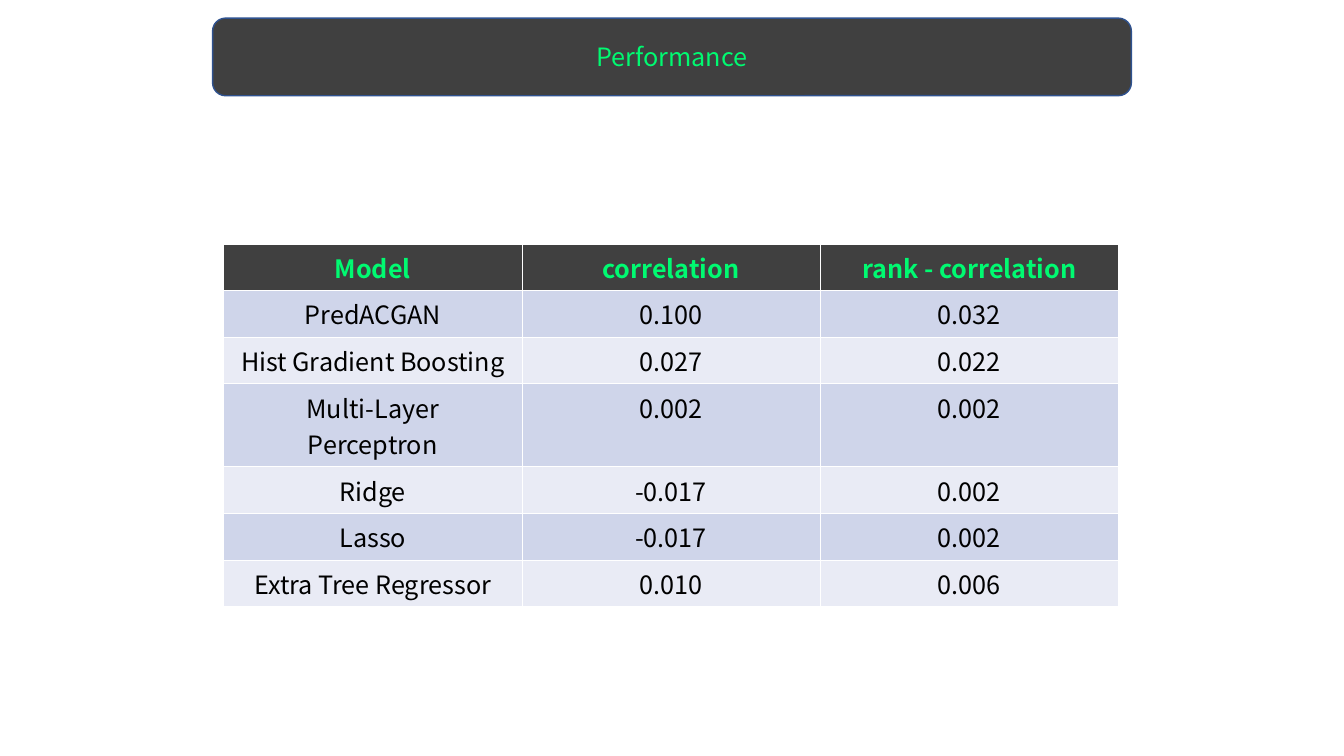
"""Build the model performance slide with its title bar and results table."""
from dataclasses import dataclass

from lxml.etree import SubElement
from pptx import Presentation
from pptx.dml.color import RGBColor as Color
from pptx.enum.shapes import MSO_SHAPE as Shape
from pptx.enum.text import MSO_ANCHOR as Anchor, PP_ALIGN as Align
from pptx.oxml.ns import qn
from pptx.util import Inches, Pt

TITLE = "Performance"
HEADER = ("Model", "correlation", "rank - correlation")
RESULTS = [
    ("PredACGAN", "0.100", "0.032"),
    ("Hist Gradient Boosting", "0.027", "0.022"),
    ("Multi-Layer\nPerceptron", "0.002", "0.002"),
    ("Ridge", "-0.017", "0.002"),
    ("Lasso", "-0.017", "0.002"),
    ("Extra Tree Regressor", "0.010", "0.006"),
]


@dataclass(frozen=True)
class Theme:
    font: str = "Noto Sans CJK KR"
    size: int = 18
    dark: str = "404040"
    accent: str = "00FA71"
    outline: str = "2F528F"
    body: str = "000000"
    bands: tuple = ("CFD5EA", "E9EBF5")
    border: str = "FFFFFF"
    thin: float = 0.45
    thick: float = 1.47


THEME = Theme()
TITLE_BOX = (2.11, 0.18, 9.12, 0.77)
TABLE_LEFT, TABLE_TOP, COLUMN_WIDTH = 2.22, 2.42, 2.96
LINE_HEIGHT, ROW_PADDING = 0.3, 0.1


def write_text(frame, text, color=THEME.body, bold=False):
    frame.text = text
    frame.word_wrap = True
    for paragraph in frame.paragraphs:
        paragraph.alignment = Align.CENTER
        font = paragraph.runs[0].font
        font.name, font.size, font.bold = THEME.font, Pt(THEME.size), bold
        font.color.rgb = Color.from_string(color)


def paint(target, color):
    target.fill.solid()
    target.fill.fore_color.rgb = Color.from_string(color)


def add_borders(cell, top, bottom):
    properties = cell._tc.get_or_add_tcPr()
    widths = {"a:lnL": THEME.thin, "a:lnR": THEME.thin, "a:lnT": top, "a:lnB": bottom}
    for position, (tag, width) in enumerate(widths.items()):
        line = SubElement(properties, qn(tag), w=str(Pt(width)))
        fill = SubElement(line, qn("a:solidFill"))
        SubElement(fill, qn("a:srgbClr"), val=THEME.border)
        properties.insert(position, line)


def add_title(slide):
    bar = slide.shapes.add_shape(Shape.ROUNDED_RECTANGLE, *map(Inches, TITLE_BOX))
    bar.shadow.inherit = False
    paint(bar, THEME.dark)
    bar.line.color.rgb = Color.from_string(THEME.outline)
    bar.line.width = Pt(1)
    bar.text_frame.vertical_anchor = Anchor.MIDDLE
    write_text(bar.text_frame, TITLE, color=THEME.accent)


def add_results(slide):
    rows = [HEADER, *RESULTS]
    heights = [
        ROW_PADDING + LINE_HEIGHT * max(len(text.splitlines()) for text in row)
        for row in rows
    ]
    table = slide.shapes.add_table(
        len(rows), len(HEADER), Inches(TABLE_LEFT), Inches(TABLE_TOP),
        Inches(COLUMN_WIDTH * len(HEADER)), Inches(sum(heights)),
    ).table
    for column in table.columns:
        column.width = Inches(COLUMN_WIDTH)
    for index, (row, height) in enumerate(zip(rows, heights)):
        table.rows[index].height = Inches(height)
        is_header = index == 0
        fill = THEME.dark if is_header else THEME.bands[(index - 1) % 2]
        color = THEME.accent if is_header else THEME.body
        top = THEME.thick if index == 1 else THEME.thin
        bottom = THEME.thick if is_header else THEME.thin
        for cell, text in zip(table.rows[index].cells, row):
            write_text(cell.text_frame, text, color=color, bold=is_header)
            paint(cell, fill)
            add_borders(cell, top, bottom)


def main():
    presentation = Presentation()
    presentation.slide_width, presentation.slide_height = Inches(13.34), Inches(7.5)
    slide = presentation.slides.add_slide(presentation.slide_layouts[6])
    add_title(slide)
    add_results(slide)
    presentation.save("out.pptx")


if __name__ == "__main__":
    main()
